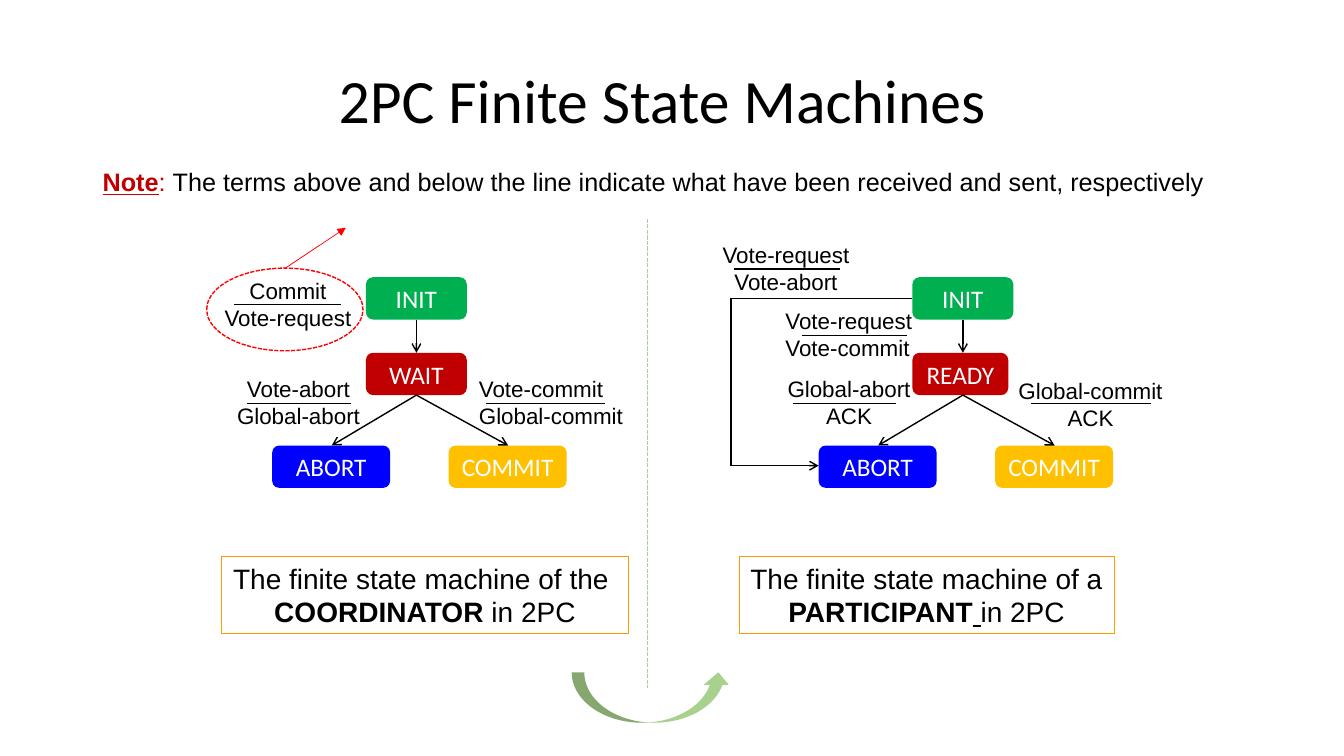
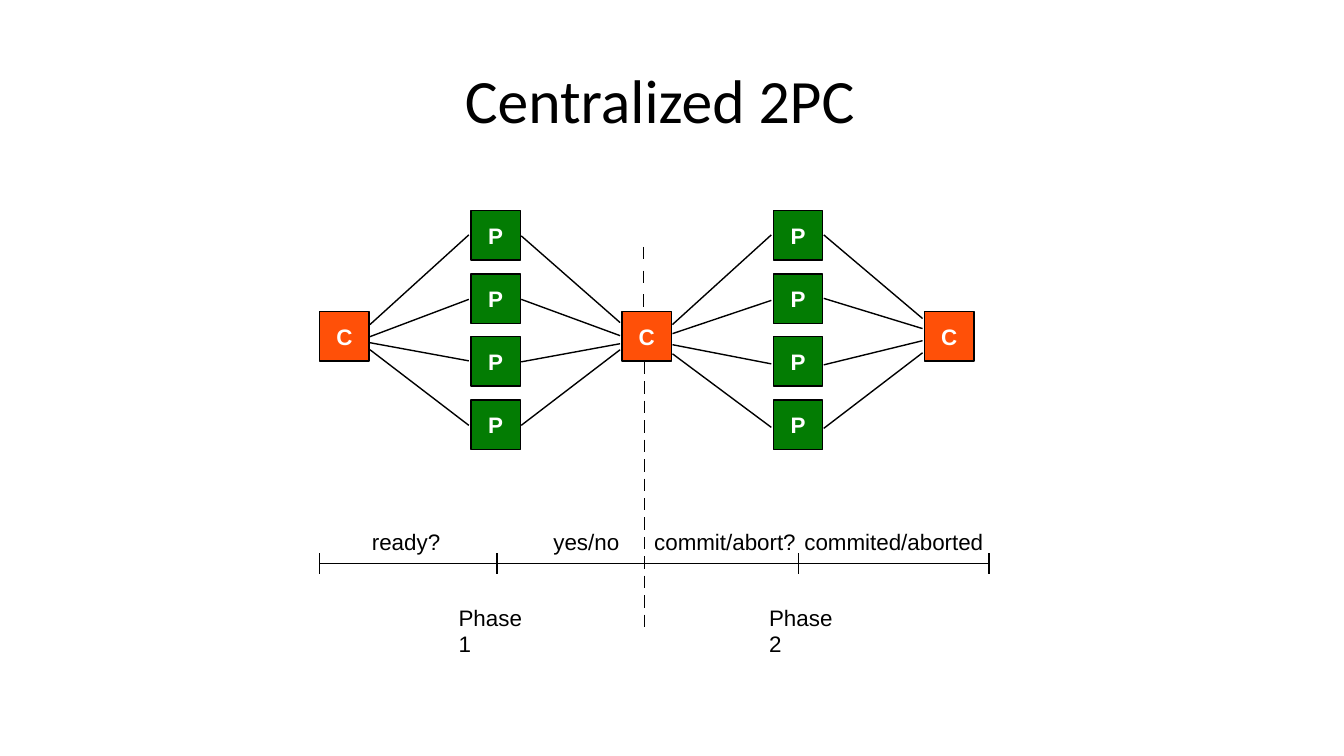
from dataclasses import dataclass

from lxml import etree
from pptx import Presentation
from pptx.dml.color import RGBColor
from pptx.enum.dml import MSO_LINE
from pptx.enum.shapes import MSO_CONNECTOR, MSO_SHAPE
from pptx.enum.text import MSO_ANCHOR, MSO_AUTO_SIZE, PP_ALIGN
from pptx.oxml.ns import qn
from pptx.util import Emu, Pt

STRAIGHT = MSO_CONNECTOR.STRAIGHT
RECT, ROUND = MSO_SHAPE.RECTANGLE, MSO_SHAPE.ROUNDED_RECTANGLE
OVAL, CURVED_UP = MSO_SHAPE.OVAL, MSO_SHAPE.CURVED_UP_ARROW
SYS_DASH = MSO_LINE.SQUARE_DOT
MIDDLE, TOP = MSO_ANCHOR.MIDDLE, MSO_ANCHOR.TOP
LEFT, CENTER = PP_ALIGN.LEFT, PP_ALIGN.CENTER
FIT = MSO_AUTO_SIZE.SHAPE_TO_FIT_TEXT

EMU_PER_PX = 9144
BLACK, WHITE = "000000", "FFFFFF"
GREEN, DARK_RED, BLUE, AMBER = "00B050", "C00000", "0000FF", "FFC000"
RED, ORANGE, LIGHT_GREEN = "FF0000", "FF9900", "A9D18E"
HUB_FILL, LEAF_FILL = "FF5008", "037C03"
HEAD_FONT, TEXT_FONT = "Calibri", "Arial"


@dataclass(frozen=True)
class Run:
    text: str
    bold: bool = False
    italic: bool = False
    underline: bool = False
    color: str = BLACK


@dataclass(frozen=True)
class Label:
    x: int
    y: int
    w: int
    received: str
    sent: str
    rule: tuple[int, int, int]
    align: PP_ALIGN = CENTER


@dataclass(frozen=True)
class Machine:
    cx: int
    waiting: str
    waiting_w: int
    labels: tuple[Label, ...]
    caption_x: int
    caption_w: int
    caption: tuple[list[Run], ...]


@dataclass(frozen=True)
class Fan:
    x: int
    start_ys: tuple[int, ...]
    end_ys: tuple[int, ...]


MACHINES = (
    Machine(
        413, "WAIT", 100,
        (
            Label(222, 270, 137, "Commit", "Vote-request", (232, 338, 302)),
            Label(234, 367, 134, "Vote-abort", "Global-abort", (245, 348, 400)),
            Label(475, 367, 155, "Vote-commit", "Global-commit", (482, 600, 400), LEFT),
        ),
        220, 403,
        ([Run("The finite state machine of the ")],
         [Run("COORDINATOR", bold=True), Run(" in 2PC")]),
    ),
    Machine(
        955, "READY", 95,
        (
            Label(779, 300, 137, "Vote-request", "Vote-commit", (795, 900, 333), LEFT),
            Label(780, 367, 134, "Global-abort", "ACK", (787, 889, 400)),
            Label(1009, 369, 155, "Global-commit", "ACK", (1023, 1142, 400)),
            Label(716, 234, 137, "Vote-request", "Vote-abort", (728, 833, 267)),
        ),
        733, 372,
        ([Run("The finite state machine of a")],
         [Run("PARTICIPANT", bold=True), Run(" ", italic=True, underline=True), Run("in 2PC")]),
    ),
)

NOTE = [
    Run("Note", bold=True, underline=True, color=DARK_RED),
    Run(": ", color=DARK_RED),
    Run("The terms above and below the line indicate what have been received and sent, respectively"),
]

FANS = (
    Fan(367, (322, 334, 340, 347), (233, 297, 358, 422)),
    Fan(517, (234, 297, 359, 422), (320, 333, 341, 347)),
    Fan(667, (322, 331, 342, 351), (233, 298, 361, 424)),
    Fan(817, (233, 296, 362, 425), (316, 326, 338, 350)),
)

STEPS = (
    (359, 519, 88, "ready?"),
    (539, 519, 85, "yes/no"),
    (639, 519, 161, "commit/abort?"),
    (788, 519, 198, "commited/aborted"),
    (445, 594, 101, "Phase 1"),
    (753, 594, 101, "Phase 2"),
)


def px(n: int) -> Emu:
    return Emu(n * EMU_PER_PX)


def rgb(value: str) -> RGBColor:
    return RGBColor.from_string(value)


def set_font(font, size: int, name: str, color: str, bold: bool = False) -> None:
    font.size, font.name, font.bold = Pt(size), name, bold
    font.color.rgb = rgb(color)


def set_insets(tf, left: int, top: int, right: int, bottom: int) -> None:
    tf.margin_left, tf.margin_top = px(left), px(top)
    tf.margin_right, tf.margin_bottom = px(right), px(bottom)


def add_title_slide(prs, text: str, x: int, w: int):
    s = prs.slides.add_slide(prs.slide_layouts[5])
    title = s.shapes.title
    title.left, title.top, title.width, title.height = px(x), px(30), px(w), px(145)
    tf = title.text_frame
    tf.text, tf.vertical_anchor = text, MIDDLE
    p = tf.paragraphs[0]
    p.alignment, p.line_spacing = CENTER, 0.9
    set_font(p.font, 44, HEAD_FONT, BLACK)
    return s


def add_shape(s, kind, x: int, y: int, w: int, h: int, fill: str | None = None,
              line: str | None = None):
    sp = s.shapes.add_shape(kind, px(x), px(y), px(w), px(h))
    sp.shadow.inherit = False
    if fill:
        sp.fill.solid()
        sp.fill.fore_color.rgb = rgb(fill)
    else:
        sp.fill.background()
    if line:
        sp.line.color.rgb = rgb(line)
        sp.line.width = Pt(1)
    else:
        sp.line.fill.background()
    return sp


def add_box(s, kind, x: int, y: int, w: int, h: int, text: str, fill: str,
            size: int, font: str, line: str | None = None, bold: bool = False) -> None:
    sp = add_shape(s, kind, x, y, w, h, fill, line)
    tf = sp.text_frame
    tf.text, tf.word_wrap, tf.vertical_anchor = text, False, MIDDLE
    set_insets(tf, 0, 0, 0, 0)
    p = tf.paragraphs[0]
    p.alignment = CENTER
    set_font(p.font, size, font, WHITE, bold)


def add_line(s, x1: int, y1: int, x2: int, y2: int, color: str = BLACK, width: float = 1,
             tail: str | None = None, dash=None, gaps: tuple[int, int] | None = None) -> None:
    cn = s.shapes.add_connector(STRAIGHT, px(x1), px(y1), px(x2), px(y2))
    cn.line.color.rgb = rgb(color)
    cn.line.width = Pt(width)
    if dash:
        cn.line.dash_style = dash
    props = cn.element.spPr
    ln = props.find(qn("a:ln"))
    if gaps:
        cust = etree.SubElement(ln, qn("a:custDash"))
        etree.SubElement(cust, qn("a:ds"), d=str(gaps[0] * 100000), sp=str(gaps[1] * 100000))
    if tail:
        etree.SubElement(ln, qn("a:tailEnd"), type=tail)
    etree.SubElement(props, qn("a:effectLst"))


def add_text(s, x: int, y: int, w: int, h: int, lines, size: int = 16,
             align: PP_ALIGN = LEFT, inset: int = 10):
    tb = s.shapes.add_textbox(px(x), px(y), px(w), px(h))
    tf = tb.text_frame
    tf.word_wrap, tf.auto_size, tf.vertical_anchor = False, FIT, TOP
    set_insets(tf, inset, 5, 10, 5)
    for i, runs in enumerate(lines):
        p = tf.add_paragraph() if i else tf.paragraphs[0]
        p.alignment = align
        for run in runs:
            r = p.add_run()
            r.text = run.text
            set_font(r.font, size, TEXT_FONT, run.color, run.bold)
            r.font.italic, r.font.underline = run.italic, run.underline
    return tb


def draw_machine(s, m: Machine) -> None:
    states = (
        (-50, 275, 100, "INIT", GREEN),
        (-50, 350, m.waiting_w, m.waiting, DARK_RED),
        (32, 442, 117, "COMMIT", AMBER),
        (-143, 442, 117, "ABORT", BLUE),
    )
    for dx, y, w, name, fill in states:
        add_box(s, ROUND, m.cx + dx, y, w, 42, name, fill, 18, HEAD_FONT)
    for y1, dx, y2 in ((317, 0, 350), (392, -84, 442), (392, 91, 442)):
        add_line(s, m.cx, y1, m.cx + dx, y2, tail="arrow")
    for label in m.labels:
        add_text(s, label.x, label.y, label.w, 64,
                 ([Run(label.received)], [Run(label.sent)]), align=label.align, inset=0)
        x1, x2, y = label.rule
        add_line(s, x1, y, x2, y)
    caption = add_text(s, m.caption_x, 552, m.caption_w, 77, m.caption, 20, CENTER)
    caption.line.color.rgb = rgb(ORANGE)
    caption.line.width = Pt(0.75)


def build_state_machines(prs) -> None:
    s = add_title_slide(prs, "2PC Finite State Machines", 92, 1130)
    for m in MACHINES:
        draw_machine(s, m)
    add_line(s, 905, 296, 725, 296)
    add_line(s, 725, 296, 725, 462)
    add_line(s, 725, 462, 812, 462, tail="arrow")
    add_line(s, 642, 217, 642, 683, LIGHT_GREEN, dash=SYS_DASH)
    add_shape(s, CURVED_UP, 567, 667, 158, 50, LIGHT_GREEN)
    highlight = add_shape(s, OVAL, 205, 266, 155, 82, line=RED)
    highlight.line.dash_style = SYS_DASH
    add_line(s, 283, 266, 343, 226, RED, 0.5, "triangle")
    add_text(s, 92, 160, 1122, 40, (NOTE,), 18)


def build_centralized(prs) -> None:
    s = add_title_slide(prs, "Centralized 2PC", 192, 925)
    add_line(s, 638, 245, 638, 305, gaps=(9, 8))
    add_line(s, 639, 359, 639, 624, gaps=(9, 5))
    for x in range(317, 918, 300):
        add_box(s, RECT, x, 309, 49, 49, "C", HUB_FILL, 16, TEXT_FONT, BLACK, True)
    for x in (467, 767):
        for i in range(4):
            add_box(s, RECT, x, 209 + round(62.67 * i), 49, 49, "P", LEAF_FILL, 16,
                    TEXT_FONT, BLACK, True)
    for fan in FANS:
        for y1, y2 in zip(fan.start_ys, fan.end_ys):
            add_line(s, fan.x, y1, fan.x + 98, y2)
    add_line(s, 317, 559, 981, 559)
    for x in (317, 493, 792, 981):
        add_line(s, x, 549, x, 569)
    for x, y, w, text in STEPS:
        add_text(s, x, y, w, 36, ([Run(text)],))


def main() -> None:
    prs = Presentation()
    prs.slide_width, prs.slide_height = px(1333), px(750)
    build_state_machines(prs)
    build_centralized(prs)
    prs.save("out.pptx")


if __name__ == "__main__":
    main()
